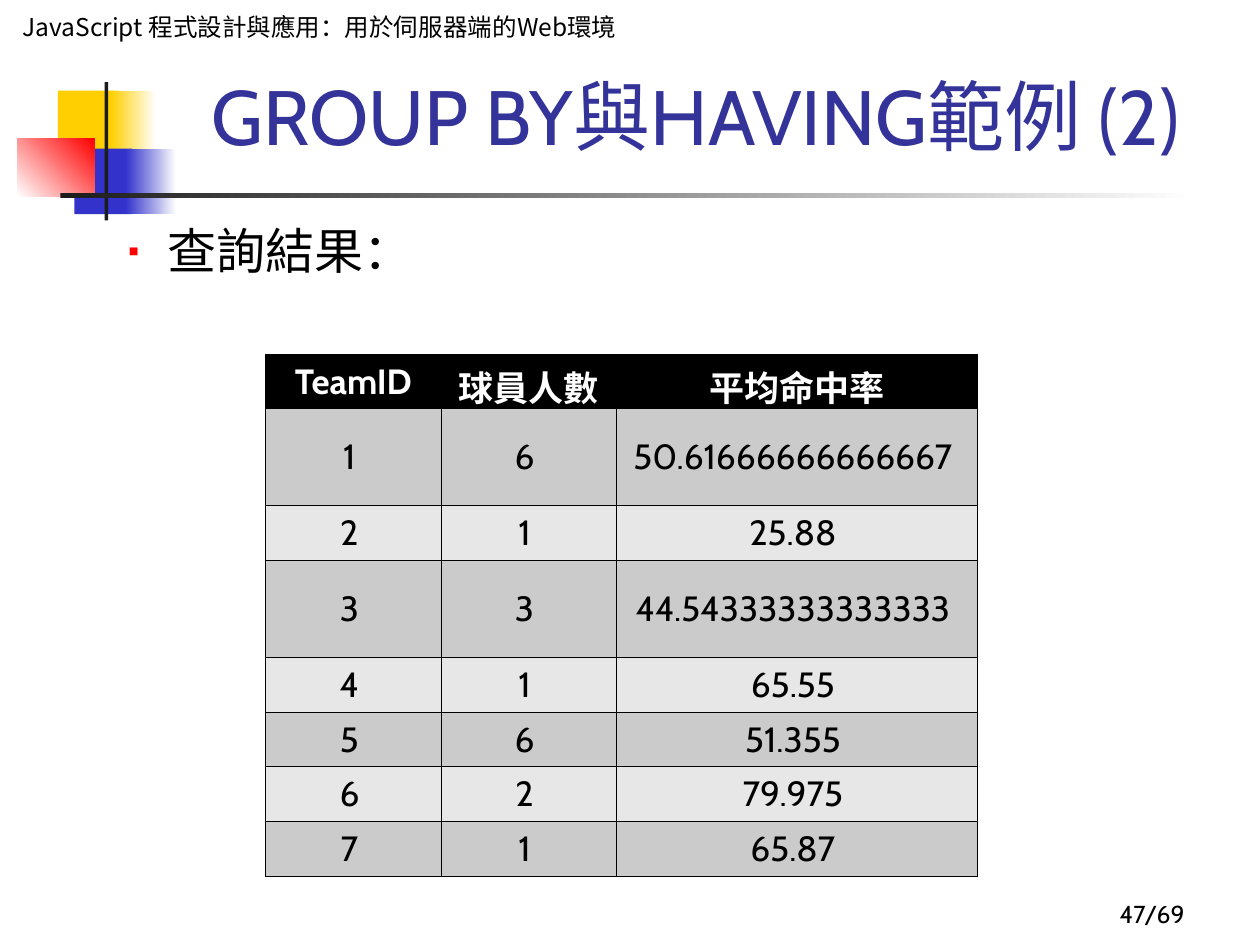
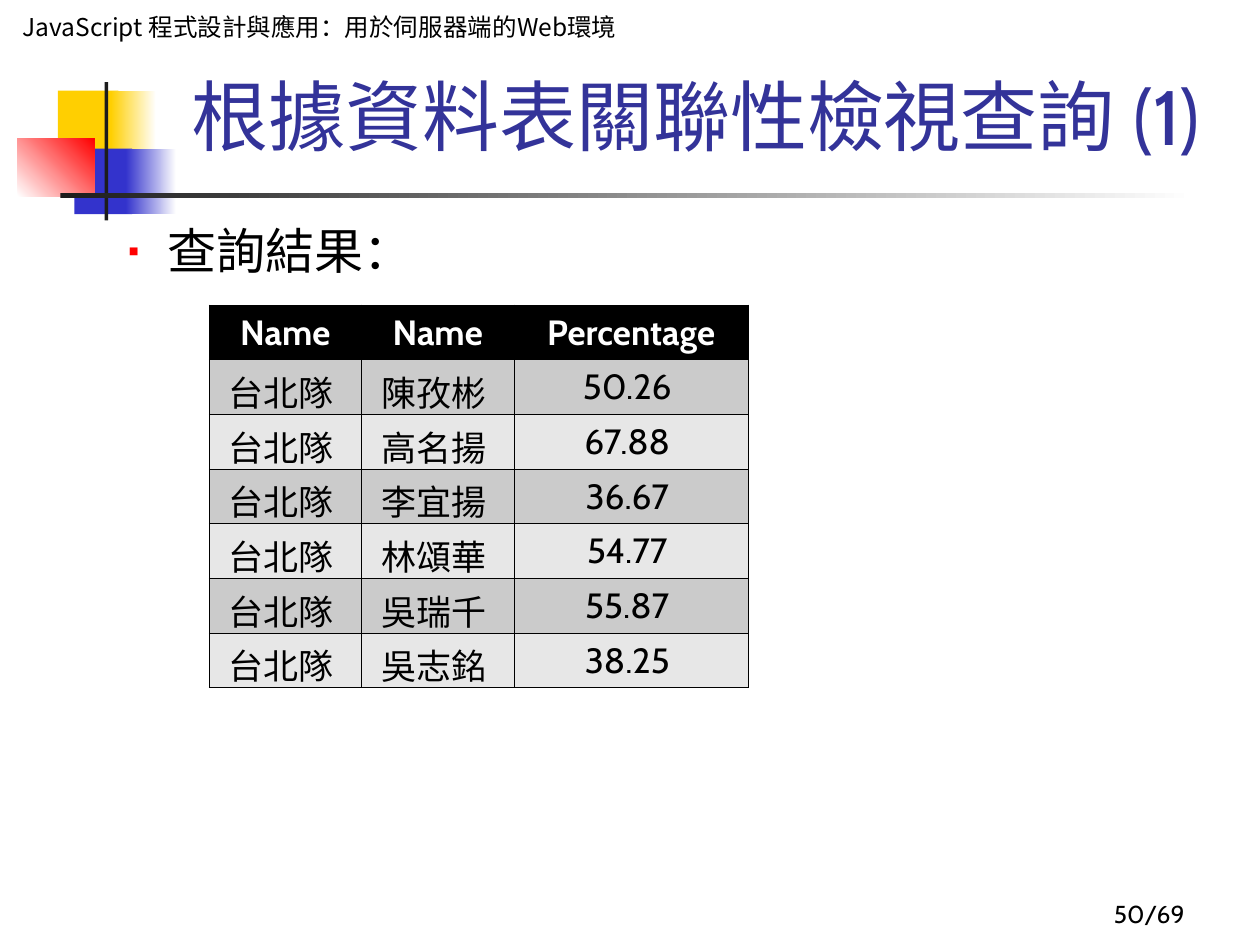
from lxml import etree
from pptx import Presentation
from pptx.dml.color import RGBColor
from pptx.enum.shapes import MSO_SHAPE
from pptx.enum.text import MSO_ANCHOR, PP_ALIGN
from pptx.oxml.ns import qn
from pptx.util import Inches, Pt

RECTANGLE = MSO_SHAPE.RECTANGLE
TOP, MIDDLE, BOTTOM = MSO_ANCHOR.TOP, MSO_ANCHOR.MIDDLE, MSO_ANCHOR.BOTTOM
LEFT, CENTER, RIGHT = PP_ALIGN.LEFT, PP_ALIGN.CENTER, PP_ALIGN.RIGHT

LATIN_FONT = "Cabin"
CJK_FONT = "Noto Sans CJK SC"
BLACK, WHITE, CHARCOAL = "000000", "FFFFFF", "1C1C1C"
YELLOW, BLUE, RED, TITLE_BLUE = "FFCF01", "3333CC", "FF0000", "333399"
BAND_DARK, BAND_LIGHT = "CBCBCB", "E7E7E7"

COURSE = "JavaScript 程式設計與應用：用於伺服器端的Web環境"
RESULT_LABEL = "查詢結果："
PAGE_TOTAL = 69
ROW_HEIGHT, TALL_ROW_HEIGHT = 0.43, 0.77
HARD_SPACE = chr(160)

# Position, colours (two make a gradient) and gradient angle
MOTIF = [
    ((0.46, 0.72, 0.48, 0.52), [YELLOW], 0),
    ((0.88, 0.72, 0.36, 0.52), [YELLOW, WHITE], 0),
    ((0.59, 1.18, 0.46, 0.52), [BLUE], 0),
    ((1, 1.18, 0.4, 0.52), [BLUE, WHITE], 0),
    ((0.14, 1.1, 0.61, 0.46), [WHITE, RED], 45),
    ((0.83, 0.6, 0.03, 1.15), [CHARCOAL], 0),
    ((0.48, 1.53, 9, 0.04), [CHARCOAL, WHITE], 0),
]

TEAM_AVERAGES = [
    ("TeamID", "球員人數", "平均命中率"),
    ("1", "6", "50.61666666666667"),
    ("2", "1", "25.88"),
    ("3", "3", "44.54333333333333"),
    ("4", "1", "65.55"),
    ("5", "6", "51.355"),
    ("6", "2", "79.975"),
    ("7", "1", "65.87"),
]

TAIPEI_PLAYERS = [("Name", "Name", "Percentage")] + [
    ("台北隊", player, percentage)
    for player, percentage in [
        ("陳孜彬", "50.26"),
        ("高名揚", "67.88"),
        ("李宜揚", "36.67"),
        ("林頌華", "54.77"),
        ("吳瑞千", "55.87"),
        ("吳志銘", "38.25"),
    ]
]


def rgb(code):
    return RGBColor.from_string(code)


def inches(values):
    return [Inches(value) for value in values]


def add_run(paragraph, text, size, color=BLACK, bold=False, font=LATIN_FONT):
    run = paragraph.add_run()
    run.text = text
    run.font.size = Pt(size)
    run.font.bold = bold
    run.font.name = font
    run.font.color.rgb = rgb(color)
    east_asian = etree.SubElement(run.font._element, qn("a:ea"))
    east_asian.set("typeface", CJK_FONT)


def add_block(slide, place, colors, angle=0):
    """Add a rectangle filled with one colour or a two-colour gradient."""
    block = slide.shapes.add_shape(RECTANGLE, *inches(place))
    block.shadow.inherit = False
    block.line.fill.background()
    if len(colors) == 1:
        block.fill.solid()
        block.fill.fore_color.rgb = rgb(colors[0])
    else:
        block.fill.gradient()
        block.fill.gradient_angle = angle
        for stop, color in zip(block.fill.gradient_stops, colors):
            stop.color.rgb = rgb(color)
    return block


def first_paragraph(shape, anchor, align, spacing=1.0):
    frame = shape.text_frame
    frame.word_wrap = True
    frame.vertical_anchor = anchor
    paragraph = frame.paragraphs[0]
    paragraph.alignment = align
    paragraph.line_spacing = spacing
    return paragraph


def add_text(slide, place, text, size, anchor, align, color=BLACK, spacing=1.0):
    box = slide.shapes.add_textbox(*inches(place))
    add_run(first_paragraph(box, anchor, align, spacing), text, size, color)


def add_bullet(slide, place, text):
    box = slide.shapes.add_textbox(*inches(place))
    paragraph = first_paragraph(box, TOP, LEFT, 0.9)
    properties = paragraph._p.get_or_add_pPr()
    properties.set("marL", str(Inches(0.81)))
    properties.set("indent", str(Inches(-0.31)))
    bullet_color = etree.SubElement(properties, qn("a:buClr"))
    etree.SubElement(bullet_color, qn("a:srgbClr")).set("val", RED)
    etree.SubElement(properties, qn("a:buSzPct")).set("val", "55000")
    etree.SubElement(properties, qn("a:buFont")).set("typeface", LATIN_FONT)
    etree.SubElement(properties, qn("a:buChar")).set("char", "▪")
    add_run(paragraph, text, 28)


def outline_cell(cell):
    properties = cell._tc.get_or_add_tcPr()
    for position, side in enumerate(("a:lnL", "a:lnR", "a:lnT", "a:lnB")):
        line = etree.Element(qn(side), w=str(Pt(0.45)))
        fill = etree.SubElement(line, qn("a:solidFill"))
        etree.SubElement(fill, qn("a:srgbClr")).set("val", BLACK)
        properties.insert(position, line)


def fill_cell(cell, text, row_number):
    is_header = row_number == 0
    if is_header:
        background, color = BLACK, WHITE
    else:
        background = BAND_DARK if row_number % 2 else BAND_LIGHT
        color = BLACK
        text += HARD_SPACE
    cell.fill.solid()
    cell.fill.fore_color.rgb = rgb(background)
    cell.vertical_anchor = MIDDLE
    outline_cell(cell)
    paragraph = cell.text_frame.paragraphs[0]
    paragraph.alignment = CENTER
    add_run(paragraph, text, 20, color, is_header)


def add_results(slide, left, top, widths, records, tall_rows=()):
    heights = [TALL_ROW_HEIGHT if number in tall_rows else ROW_HEIGHT
               for number in range(len(records))]
    place = inches((left, top, sum(widths), sum(heights)))
    results = slide.shapes.add_table(len(records), len(widths), *place).table
    for column, width in zip(results.columns, widths):
        column.width = Inches(width)
    for number, (row, record) in enumerate(zip(results.rows, records)):
        row.height = Inches(heights[number])
        for cell, text in zip(row.cells, record):
            fill_cell(cell, text, number)


def add_page(deck, title, page_number):
    """Add a slide with the shared motif, course name, title and page number."""
    slide = deck.slides.add_slide(deck.slide_layouts[6])
    for place, colors, angle in MOTIF:
        add_block(slide, place, colors, angle)
    course = add_block(slide, (0.08, 0.08, 4.92, 0.57), [WHITE])
    add_run(first_paragraph(course, TOP, LEFT, 0.85), COURSE, 14, font=CJK_FONT)
    add_text(slide, (1.26, 0.58, 8.52, 0.83), title, 44, TOP, CENTER,
             TITLE_BLUE, 0.9)
    add_bullet(slide, (0.42, 1.75, 9.38, 5.08), RESULT_LABEL)
    add_text(slide, (7.42, 6.92, 2.08, 0.5), f"{page_number}/{PAGE_TOTAL}",
             14, BOTTOM, RIGHT)
    return slide


def main():
    deck = Presentation()
    deck.slide_width, deck.slide_height = Inches(10), Inches(7.5)

    grouping = add_page(deck, "GROUP BY與HAVING範例 (2)", 47)
    add_results(grouping, 2.11, 2.81, (1.39, 1.39, 2.87), TEAM_AVERAGES,
                tall_rows=(1, 3))

    relations = add_page(deck, "根據資料表關聯性檢視查詢 (1)", 50)
    add_results(relations, 1.66, 2.42, (1.21, 1.21, 1.86), TAIPEI_PLAYERS)

    deck.save("out.pptx")


if __name__ == "__main__":
    main()
